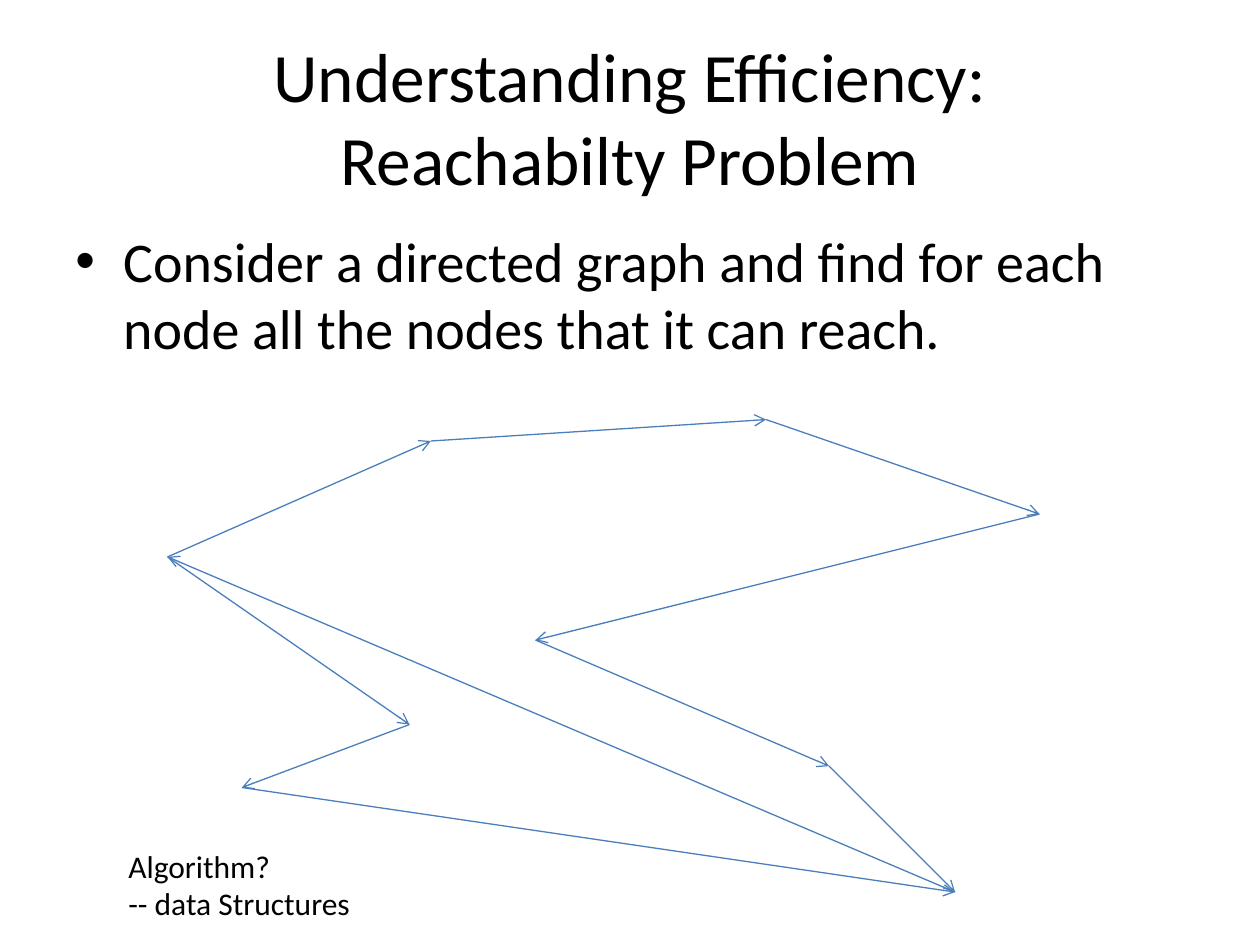
"""Build a slide on the reachability problem with a directed graph."""
from lxml import etree
from pptx import Presentation
from pptx import util as u
from pptx.dml.color import RGBColor
from pptx.enum import shapes, text
from pptx.oxml import ns

COLORS = {"text": "000000", "edge": "4B7EBC"}
NODES = {
    "a": (1.33, 4.42), "b": (3.42, 3.5), "c": (6.08, 3.33),
    "d": (8.25, 4.08), "e": (4.25, 5.08), "f": (6.58, 6.08),
    "g": (7.58, 7.08), "h": (3.25, 5.75), "i": (1.92, 6.25),
}
EDGES = ["ab", "bc", "cd", "de", "ef", "ah", "fg", "hi", "ga", "ig"]


def fill_text(sp, lines, size, **frame):
    tf = sp.text_frame
    for name, value in {"auto_size": text.MSO_AUTO_SIZE.NONE, **frame}.items():
        setattr(tf, name, value)
    tf.text = "\n".join(lines)
    for p in tf.paragraphs:
        for r in p.runs:
            r.font.name = "Calibri"
            r.font.size = u.Pt(size)
            r.font.color.rgb = RGBColor.from_string(COLORS["text"])
    return tf.paragraphs[0]


prs = Presentation()
prs.slide_width, prs.slide_height = u.Inches(10), u.Inches(7.5)
s = prs.slides.add_slide(prs.slide_layouts[5])

title = s.shapes.title
title.left, title.top = u.Inches(0.5), u.Inches(0.3)
title.width, title.height = u.Inches(9), u.Inches(1.25)
p = fill_text(title, ["Understanding Efficiency:\vReachabilty Problem"], 39.6,
              vertical_anchor=text.MSO_ANCHOR.MIDDLE)
p.alignment = text.PP_ALIGN.CENTER

body = s.shapes.add_textbox(u.Inches(0.5), u.Inches(1.75), u.Inches(9), u.Inches(4.95))
p = fill_text(body, ["Consider a directed graph and find for each node all the nodes that it can reach."],
              32, word_wrap=True)
p.space_before = u.Pt(6.4)
pPr = p._p.get_or_add_pPr()
pPr.set("marL", str(u.Inches(0.38)))
pPr.set("indent", str(u.Inches(-0.38)))
etree.SubElement(pPr, ns.qn("a:buFont"), typeface="Arial")
etree.SubElement(pPr, ns.qn("a:buChar"), char="•")

for start, end in EDGES:
    points = [u.Inches(v) for v in NODES[start] + NODES[end]]
    edge = s.shapes.add_connector(shapes.MSO_CONNECTOR.STRAIGHT, *points)
    edge.line.color.rgb = RGBColor.from_string(COLORS["edge"])
    edge.line.width = u.Pt(0.75)
    etree.SubElement(edge.line._get_or_add_ln(), ns.qn("a:tailEnd"), type="arrow")
    etree.SubElement(edge._element.spPr, ns.qn("a:effectLst"))

question = s.shapes.add_textbox(u.Inches(0.92), u.Inches(6.67), u.Inches(1.99), u.Inches(0.71))
fill_text(question, ["Algorithm?", "-- data Structures"], 18, word_wrap=False,
          auto_size=text.MSO_AUTO_SIZE.SHAPE_TO_FIT_TEXT)

prs.save("out.pptx")
